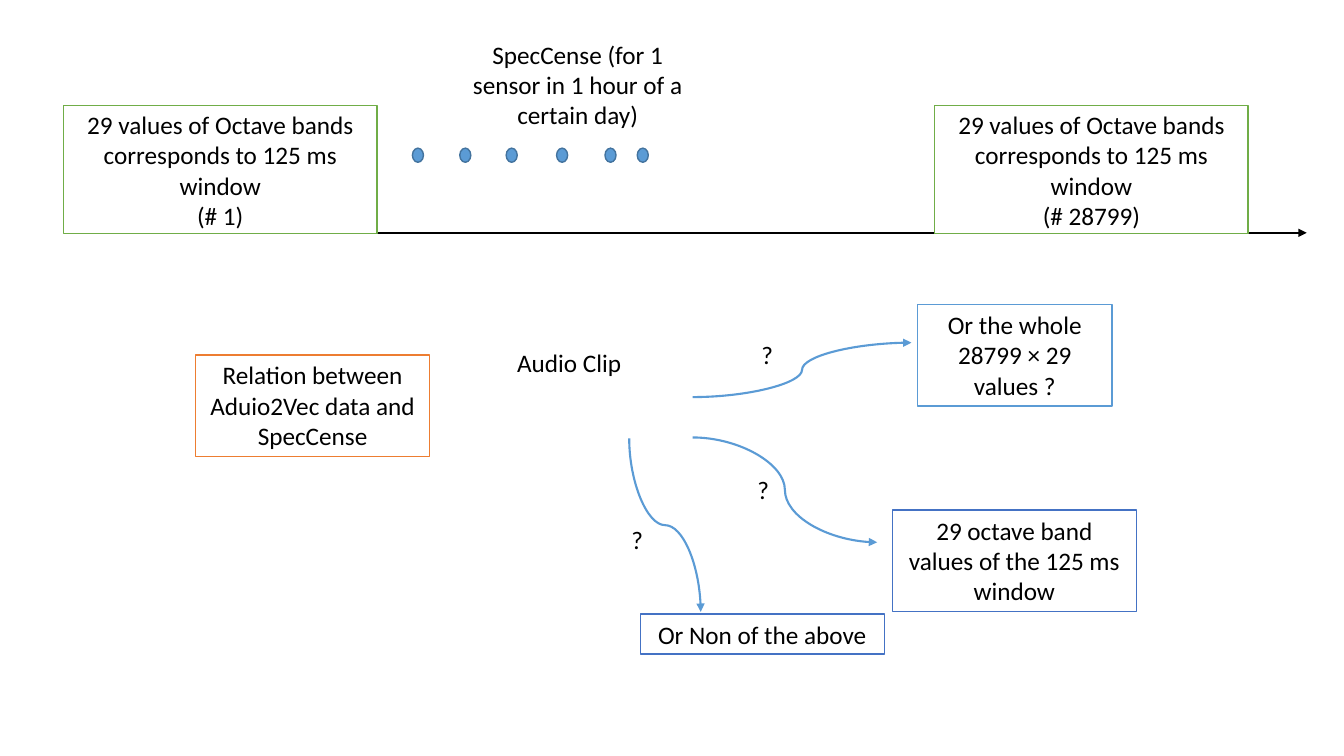
from lxml import etree
from pptx import Presentation
from pptx.dml.color import RGBColor
from pptx.enum import shapes, text
from pptx.oxml.ns import qn
from pptx.util import Inches, Pt

COLORS = {"white": "FFFFFF", "black": "000000", "blue": "5B9BD5", "navy": "4472C4",
          "green": "70AD47", "orange": "ED7D31", "dot_edge": "43739E"}
FONT, SIZE = "Calibri", 18

# (left, top, width, height), text
LABELS = [
    ((4.56, 0.34, 2.34, 1.01), "SpecCense (for 1 sensor in 1 hour of a certain day)"),
    ((4.95, 3.4, 1.39, 0.4), "Audio Clip"),
    ((7.44, 3.32, 0.34, 0.4), "?"),
    ((7.4, 4.66, 0.34, 0.4), "?"),
    ((6.15, 5.15, 0.34, 0.4), "?"),
]
# (left, top, width, height), border, text
BOXES = [
    ((8.85, 5.06, 2.42, 1.01), "navy", "29 octave band values of the 125 ms window"),
    ((9.1, 3.02, 1.93, 1.01), "blue", "Or the whole 28799 × 29 values ?"),
    ((6.35, 6.09, 2.42, 0.4), "navy", "Or Non of the above"),
    ((1.94, 3.52, 2.32, 1.01), "orange", "Relation between Aduio2Vec data and SpecCense"),
]
WINDOW_TEXT = "29 values of Octave bands corresponds to 125 ms window"
WINDOWS = [(0.63, "(# 1)"), (9.27, "(# 28799)")]
WINDOW_TOP, WINDOW_W, WINDOW_H = 1.05, 3.11, 1.27
DOT_LEFTS = [4.09, 4.56, 5.02, 5.52, 6, 6.32]
DOT_TOP, DOT_W, DOT_H = 1.47, 0.11, 0.14
AXIS = ((0.66, 2.31), (12.96, 2.31))
# start, end, drawn downwards first
CURVES = [
    ((6.87, 4.34), (8.7, 5.38), False),
    ((6.87, 3.94), (9.04, 3.4), False),
    ((6.24, 4.35), (6.95, 6.07), True),
]


def rgb(name):
    return RGBColor.from_string(COLORS[name])


def write(sp, lines, anchor=text.MSO_ANCHOR.TOP, grow=True):
    tf = sp.text_frame
    tf.word_wrap = True
    tf.vertical_anchor = anchor
    tf.auto_size = text.MSO_AUTO_SIZE.SHAPE_TO_FIT_TEXT if grow else text.MSO_AUTO_SIZE.NONE
    tf.text = "\n".join(lines)
    for p in tf.paragraphs:
        p.alignment = text.PP_ALIGN.CENTER
        p.font.name, p.font.size = FONT, Pt(SIZE)
        p.font.color.rgb = rgb("black")


def add_shape(s, kind, box, fill, line):
    sp = s.shapes.add_shape(kind, *map(Inches, box))
    sp.shadow.inherit = False
    sp.fill.solid()
    sp.fill.fore_color.rgb = rgb(fill)
    sp.line.color.rgb = rgb(line)
    sp.line.width = Pt(1)
    return sp


def add_arrow(s, kind, start, end, color):
    cxn = s.shapes.add_connector(kind, *map(Inches, (*start, *end)))
    cxn.line.color.rgb = rgb(color)
    cxn.line.width = Pt(1.5)
    etree.SubElement(cxn.line._get_or_add_ln(), qn("a:tailEnd"), type="triangle")
    etree.SubElement(cxn._element.spPr, qn("a:effectLst"))
    return cxn


def add_curve(s, start, end, downwards):
    """A curve leaving downwards is a mirrored sideways curve turned by 270 degrees."""
    if downwards:
        (x1, y1), (x2, y2) = start, end
        cx, cy = (x1 + x2) / 2, (y1 + y2) / 2
        half_w, half_h = (y2 - y1) / 2, (x2 - x1) / 2
        start, end = (cx + half_w, cy - half_h), (cx - half_w, cy + half_h)
    cxn = add_arrow(s, shapes.MSO_CONNECTOR.CURVE, start, end, "blue")
    if downwards:
        cxn._element.spPr.find(qn("a:xfrm")).set("rot", str(270 * 60000))


def main():
    prs = Presentation()
    prs.slide_width, prs.slide_height = Inches(13.33), Inches(7.5)
    s = prs.slides.add_slide(prs.slide_layouts[6])
    rect, oval = shapes.MSO_SHAPE.RECTANGLE, shapes.MSO_SHAPE.OVAL

    for curve in CURVES:
        add_curve(s, *curve)
    add_arrow(s, shapes.MSO_CONNECTOR.STRAIGHT, *AXIS, "black")
    for left, number in WINDOWS:
        sp = add_shape(s, rect, (left, WINDOW_TOP, WINDOW_W, WINDOW_H), "white", "green")
        write(sp, [WINDOW_TEXT, number], text.MSO_ANCHOR.MIDDLE, grow=False)
    for left in DOT_LEFTS:
        add_shape(s, oval, (left, DOT_TOP, DOT_W, DOT_H), "blue", "dot_edge")
    for box, border, words in BOXES:
        write(add_shape(s, rect, box, "white", border), [words])
    for box, words in LABELS:
        write(s.shapes.add_textbox(*map(Inches, box)), [words])

    prs.save("out.pptx")


if __name__ == "__main__":
    main()
